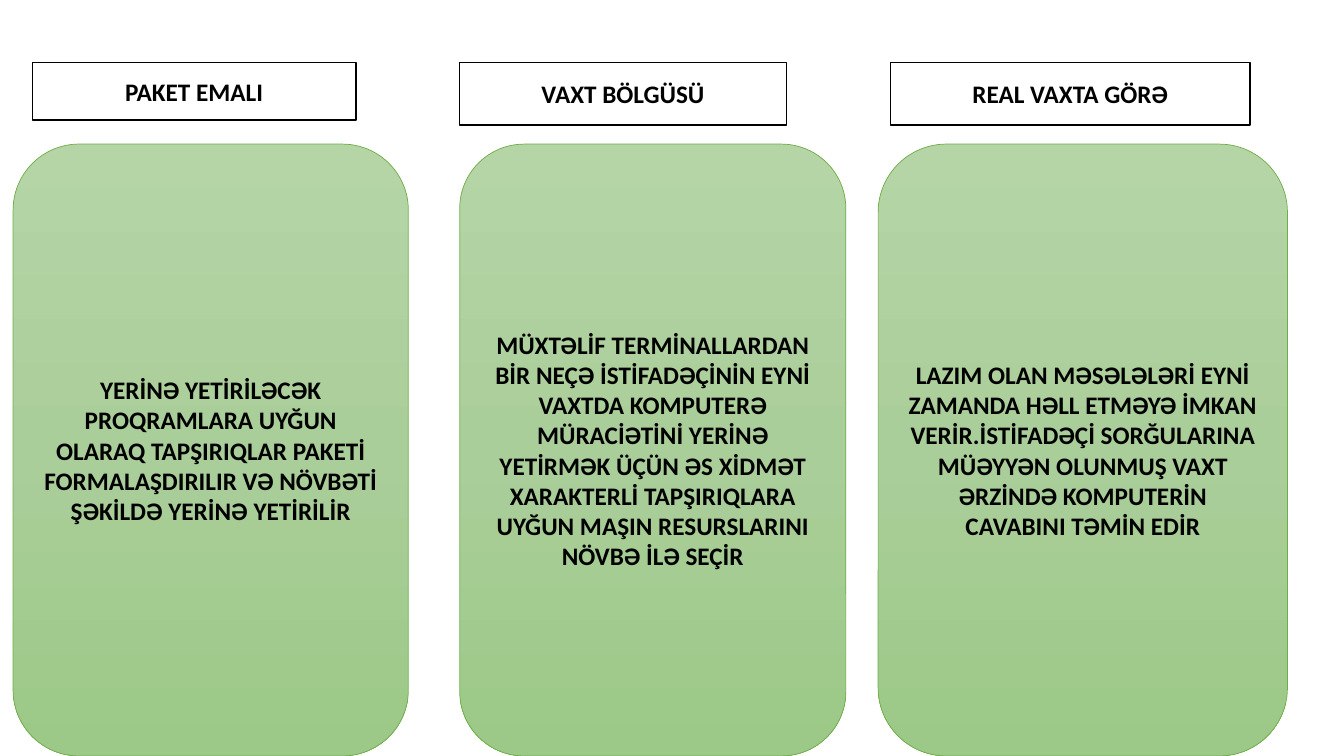
from copy import deepcopy
from dataclasses import dataclass

from pptx import Presentation
from pptx.dml.color import RGBColor
from pptx.dml.fill import FillFormat
from pptx.enum.shapes import MSO_SHAPE
from pptx.enum.text import MSO_ANCHOR, PP_ALIGN
from pptx.shapes.autoshape import Shape
from pptx.slide import Slide
from pptx.util import Inches, Pt

COLORS = {
    "text": "000000",
    "header_fill": "FFFFFF",
    "header_line": "000000",
    "card_line": "70AD47",
    "card_top": "B5D5A7",
    "card_middle": "AACE9A",
    "card_bottom": "9CC987",
}
FONT = "Calibri"
HEADER_TOP = 0.62
CARD_TOP, CARD_HEIGHT = 1.43, 6.07


@dataclass
class Mode:
    header: str
    header_left: float
    header_width: float
    header_height: float
    description: str
    card_left: float
    card_width: float


MODES = [
    Mode("PAKET EMALI", 0.32, 3.21, 0.57,
         "YERİNƏ YETİRİLƏCƏK PROQRAMLARA UYĞUN OLARAQ TAPŞIRIQLAR PAKETİ "
         "FORMALAŞDIRILIR VƏ NÖVBƏTİ ŞƏKİLDƏ YERİNƏ YETİRİLİR",
         0.13, 3.92),
    Mode("VAXT BÖLGÜSÜ", 4.56, 3.24, 0.62,
         "MÜXTƏLİF TERMİNALLARDAN BİR NEÇƏ İSTİFADƏÇİNİN EYNİ VAXTDA KOMPUTERƏ "
         "MÜRACİƏTİNİ YERİNƏ YETİRMƏK ÜÇÜN ƏS XİDMƏT XARAKTERLİ TAPŞIRIQLARA "
         "UYĞUN MAŞIN RESURSLARINI NÖVBƏ İLƏ SEÇİR",
         4.56, 3.83),
    Mode("REAL VAXTA GÖRƏ", 8.83, 3.57, 0.62,
         "LAZIM OLAN MƏSƏLƏLƏRİ EYNİ ZAMANDA HƏLL ETMƏYƏ İMKAN "
         "VERİR.İSTİFADƏÇİ SORĞULARINA MÜƏYYƏN OLUNMUŞ VAXT ƏRZİNDƏ "
         "KOMPUTERİN CAVABINI TƏMİN EDİR",
         8.71, 4.06),
]


def rgb(name: str) -> RGBColor:
    return RGBColor.from_string(COLORS[name])


def add_box(s: Slide, kind: MSO_SHAPE, left: float, top: float, width: float,
            height: float, text: str, line: str, line_width: float) -> Shape:
    """Add an outlined shape with centred bold text; the caller fills it."""
    sp = s.shapes.add_shape(kind, Inches(left), Inches(top),
                            Inches(width), Inches(height))
    sp.shadow.inherit = False
    sp.line.color.rgb = rgb(line)
    sp.line.width = Pt(line_width)
    tf = sp.text_frame
    tf.word_wrap = True
    tf.vertical_anchor = MSO_ANCHOR.MIDDLE
    p = tf.paragraphs[0]
    p.alignment = PP_ALIGN.CENTER
    r = p.add_run()
    r.text = text
    r.font.name = FONT
    r.font.size = Pt(18)
    r.font.bold = True
    r.font.color.rgb = rgb("text")
    return sp


def fill_card(fill: FillFormat) -> None:
    """Apply the three-stop green gradient, running from top to bottom."""
    fill.gradient()
    fill.gradient_angle = 270
    first = fill.gradient_stops[0]._gs
    first.addnext(deepcopy(first))
    names = ("card_top", "card_middle", "card_bottom")
    for i, (stop, name) in enumerate(zip(fill.gradient_stops, names)):
        stop.position = i / 2
        stop.color.rgb = rgb(name)


def add_header(s: Slide, mode: Mode) -> None:
    sp = add_box(s, MSO_SHAPE.RECTANGLE, mode.header_left, HEADER_TOP,
                 mode.header_width, mode.header_height, mode.header,
                 "header_line", 1)
    sp.fill.solid()
    sp.fill.fore_color.rgb = rgb("header_fill")


def add_card(s: Slide, mode: Mode) -> None:
    sp = add_box(s, MSO_SHAPE.ROUNDED_RECTANGLE, mode.card_left, CARD_TOP,
                 mode.card_width, CARD_HEIGHT, mode.description,
                 "card_line", 0.5)
    fill_card(sp.fill)


def main() -> None:
    prs = Presentation()
    prs.slide_width, prs.slide_height = Inches(13.33), Inches(7.5)
    s = prs.slides.add_slide(prs.slide_layouts[6])
    for mode in MODES:
        add_header(s, mode)
    for mode in MODES:
        add_card(s, mode)
    prs.save("out.pptx")


if __name__ == "__main__":
    main()
